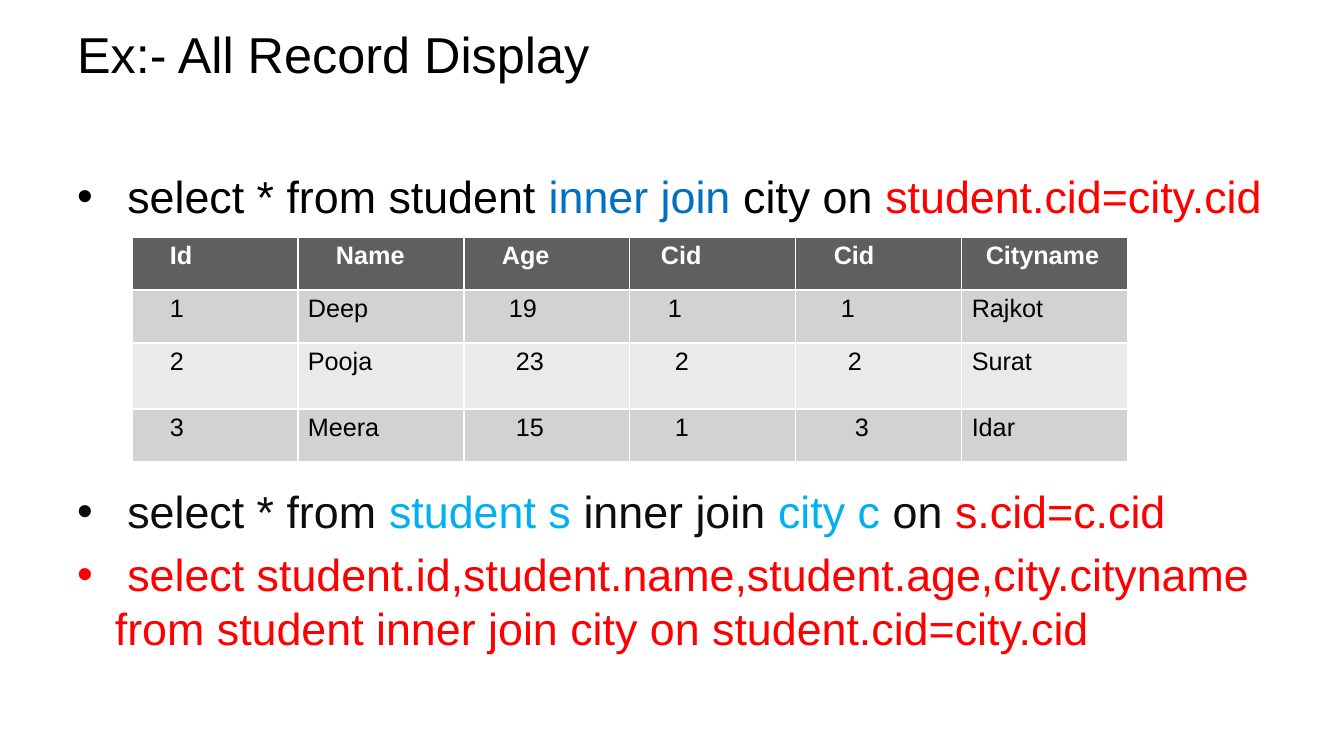
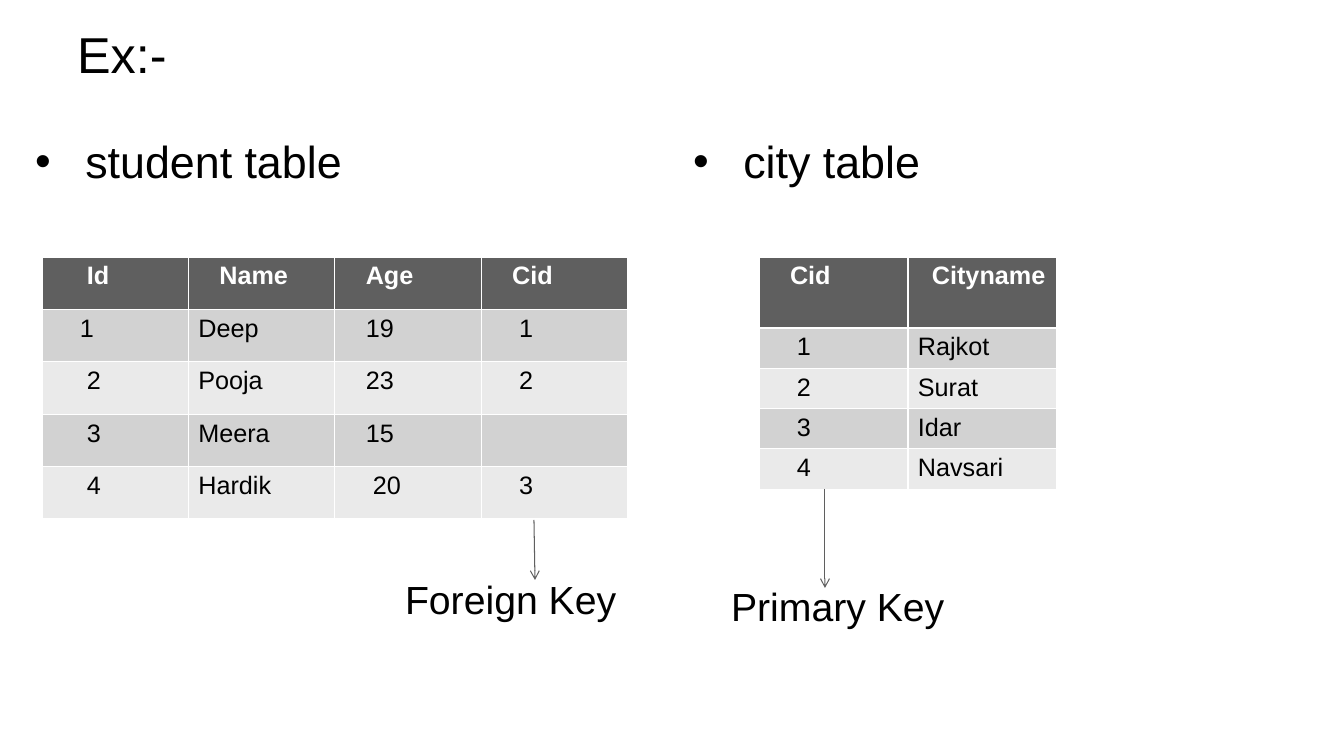
from lxml.etree import SubElement as Sub
from pptx import Presentation
from pptx.dml.color import RGBColor as RGB
from pptx.enum.shapes import MSO_CONNECTOR as LINK
from pptx.enum.text import MSO_ANCHOR as ANCHOR, MSO_AUTO_SIZE as FIT, PP_ALIGN as ALIGN
from pptx.oxml.ns import qn
from pptx.util import Pt

SCALE = 914400 / 100.8
FONT = "Arial"
BLACK = RGB(0, 0, 0)
INK = RGB(0x0D, 0x0D, 0x0D)
WHITE = RGB(0xFF, 0xFF, 0xFF)
RED = RGB(0xFF, 0, 0)
BLUE = RGB(0, 0x70, 0xC0)
SKY = RGB(0, 0xB0, 0xF0)
GREY = RGB(0x5F, 0x5F, 0x5F)
BANDS = RGB(0xD2, 0xD2, 0xD2), RGB(0xEA, 0xEA, 0xEA)
INSET = 10  # default side margin of a cell
SPACE = 7   # width of one indent step in a cell


def px(n):
    """Turn pixels into EMU."""
    return round(n * SCALE)


def place(shape, left, top, width, height):
    """Move and size a shape."""
    shape.left, shape.top = px(left), px(top)
    shape.width, shape.height = px(width), px(height)


def style(para, size, color=None, bold=False):
    """Set the font of a whole paragraph."""
    font = para.font
    font.name, font.size, font.bold = FONT, Pt(size), bold
    if color is not None:
        font.color.rgb = color


def add_slide(deck, layout, title):
    """Add a slide with the shared title style."""
    slide = deck.slides.add_slide(deck.slide_layouts[layout])
    head = slide.shapes.title
    place(head, 67, 21, 1210, 65)
    frame = head.text_frame
    frame.text = title
    frame.auto_size = FIT.NONE
    frame.vertical_anchor = ANCHOR.MIDDLE
    para = frame.paragraphs[0]
    para.alignment = ALIGN.LEFT
    style(para, 36, BLACK)
    return slide


def set_body(slide, index, box):
    """Place a body placeholder and return its text frame."""
    body = slide.placeholders[index]
    place(body, *box)
    body.text_frame.auto_size = FIT.NONE
    return body.text_frame


def add_item(frame, parts, gap=None):
    """Add a bullet made of (text, colour) parts, gap pixels below the last."""
    para = frame.paragraphs[0]
    if para.runs:
        para = frame.add_paragraph()
    if gap:
        para.space_before = px(gap)
    style(para, 32)
    for text, color in parts:
        run = para.add_run()
        run.text = text
        run.font.color.rgb = color


def add_label(frame, text, indent, gap):
    """Add an indented line without a bullet."""
    para = frame.add_paragraph()
    para.text = text
    props = para._p.get_or_add_pPr()
    props.set("marL", str(px(indent)))
    props.set("indent", "0")
    Sub(props, qn("a:buNone"))
    para.space_before = px(gap)
    style(para, 28, BLACK)


def add_grid(slide, left, top, width, heights, rows):
    """Add a banded table; each row is its indent steps and its words."""
    cols = len(rows[0][0])
    grid = slide.shapes.add_table(len(rows), cols, px(left), px(top),
                                  px(width * cols), px(sum(heights))).table
    for col in grid.columns:
        col.width = px(width)
    for r, (steps, words) in enumerate(rows):
        grid.rows[r].height = px(heights[r])
        for c, (step, word) in enumerate(zip(steps, words.split(","))):
            cell = grid.cell(r, c)
            cell.margin_left = px(INSET + SPACE * int(step))
            cell.margin_right = 0
            cell.fill.solid()
            cell.fill.fore_color.rgb = BANDS[(r - 1) % 2] if r else GREY
            cell.text = word
            style(cell.text_frame.paragraphs[0], 18,
                  BLACK if r else WHITE, r == 0)


def add_arrow(slide, *ends):
    """Draw a thin arrow from x, y to x, y."""
    link = slide.shapes.add_connector(LINK.STRAIGHT, *map(px, ends))
    link.line.color.rgb = GREY
    link.line.width = Pt(0.75)
    Sub(link.line._get_or_add_ln(), qn("a:tailEnd"), type="arrow")
    Sub(link._element.spPr, qn("a:effectLst"))


def show_join(deck):
    """Build the slide with the joined records."""
    slide = add_slide(deck, 1, "Ex:- All Record Display")
    frame = set_body(slide, 1, (67, 164, 1242, 573))
    add_item(frame, [(" select * from student ", BLACK), ("inner join", BLUE),
                     (" city on ", BLACK), ("student.cid=city.cid", RED)])
    add_item(frame, [(" select * from ", INK), ("student s", SKY),
                     (" inner join ", INK), ("city c", SKY),
                     (" on ", INK), ("s.cid=c.cid", RED)], 261)
    add_item(frame, [(" select student.id,student.name,student.age,city.cityname"
                      " from student inner join city on student.cid=city.cid", RED)])
    add_grid(slide, 132, 237, 166, [53, 53, 66, 53], [
        ("444342", "Id,Name,Age,Cid,Cid,Cityname"),
        ("405450", "1,Deep,19,1,1,Rajkot"),
        ("406560", "2,Pooja,23,2,2,Surat"),
        ("406570", "3,Meera,15,1,3,Idar")])


def show_keys(deck):
    """Build the slide with the two source tables and their keys."""
    slide = add_slide(deck, 3, "Ex:-")
    sides = [(1, (25, 129, 635, 546), " student table", "Foreign Key", 370, 387),
             (2, (683, 129, 594, 546), " city table", "Primary Key", 38, 394)]
    for index, box, name, key, indent, gap in sides:
        frame = set_body(slide, index, box)
        add_item(frame, [(name, BLACK)])
        add_label(frame, key, indent, gap)
    add_grid(slide, 42, 257, 146.4, [52.4] * 5, [
        ("5333", "Id,Name,Age,Cid"),
        ("4034", "1,Deep,19,1"),
        ("5034", "2,Pooja,23,2"),
        ("5030", "3,Meera,15,"),
        ("5044", "4,Hardik,20,3")])
    add_grid(slide, 759, 257, 149, [71] + [40.3] * 4, [
        ("32", "Cid,Cityname"),
        ("40", "1,Rajkot"),
        ("40", "2,Surat"),
        ("40", "3,Idar"),
        ("40", "4,Navsari")])
    add_arrow(slide, 534, 520, 535, 580)
    add_arrow(slide, 825, 489, 825, 588)


def main():
    """Build and save the deck."""
    deck = Presentation()
    deck.slide_width, deck.slide_height = px(1344), px(756)
    show_join(deck)
    show_keys(deck)
    deck.save("out.pptx")


main()
